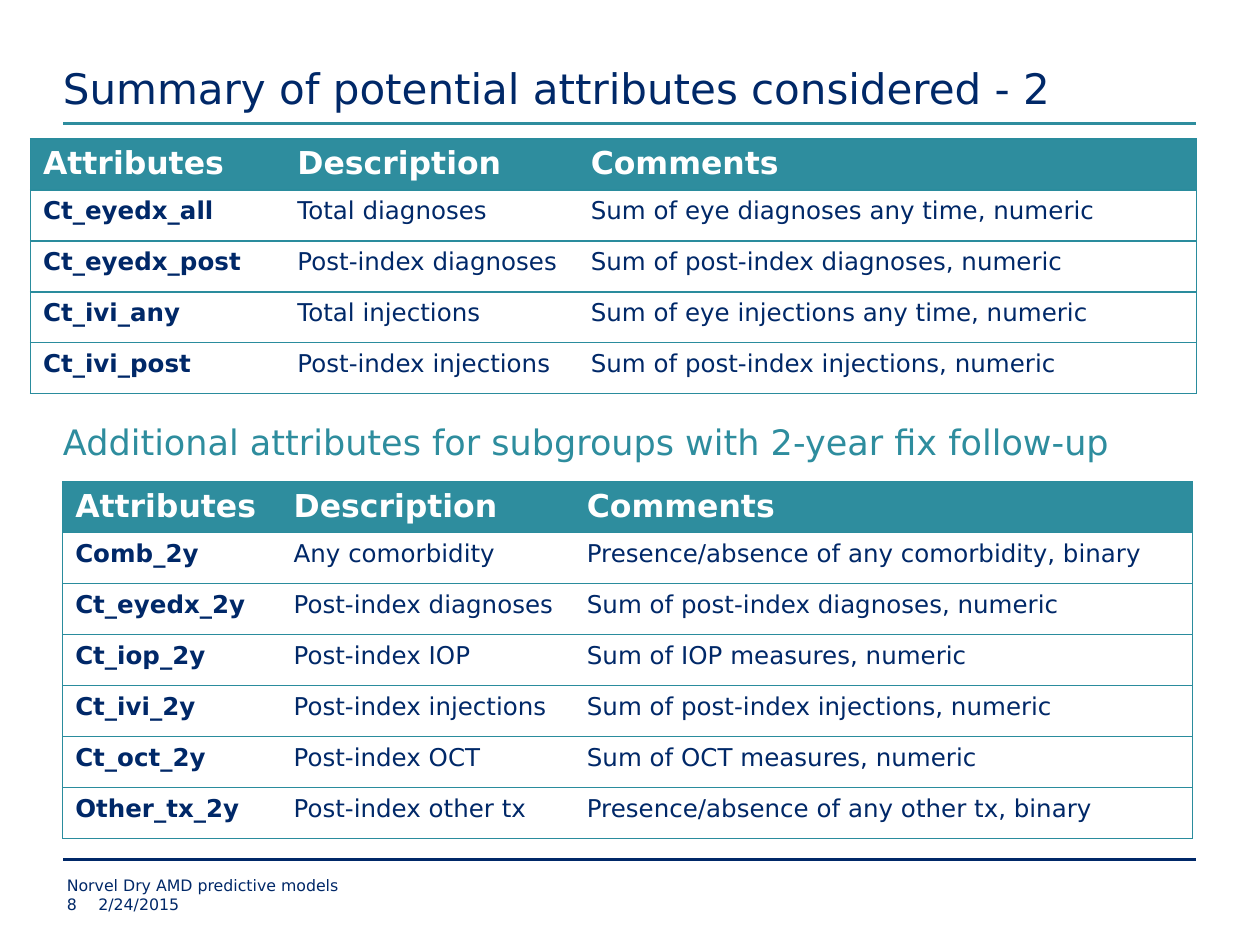
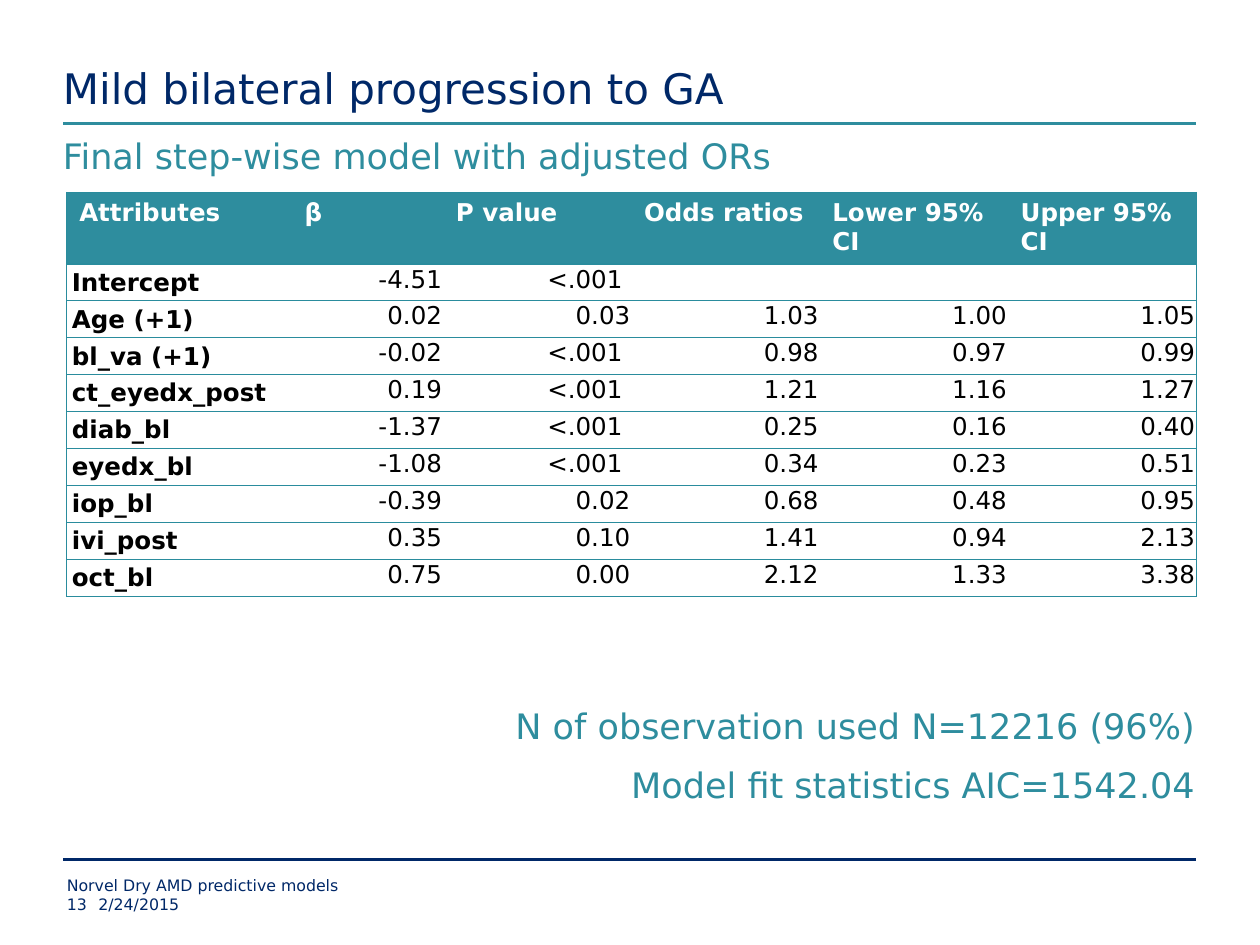
from pptx import Presentation
from pptx.dml.color import RGBColor
from pptx.enum.shapes import MSO_CONNECTOR as Connector
from pptx.enum.text import MSO_ANCHOR as Anchor, PP_ALIGN as Align
from pptx.util import Pt
from lxml.etree import SubElement
from pptx.oxml.ns import qn

FONT = "DejaVu Sans"
NAVY, TEAL, BORDER = "002868", "2E8D9E", "2A8C9D"
WHITE, BLACK = "FFFFFF", "000000"
LEFT, RIGHT, WIDTH = 36, 683.3, 648
FOOTER_LEFT, DATE_LEFT = 38.2, 56.2

HEADINGS = ["Attributes", "Description", "Comments"]
OVERALL_ROWS = [
    ["Ct_eyedx_all", "Total diagnoses", "Sum of eye diagnoses any time, numeric"],
    ["Ct_eyedx_post", "Post-index diagnoses", "Sum of post-index diagnoses, numeric"],
    ["Ct_ivi_any", "Total injections", "Sum of eye injections any time, numeric"],
    ["Ct_ivi_post", "Post-index injections", "Sum of post-index injections, numeric"],
]
TWO_YEAR_ROWS = [
    ["Comb_2y", "Any comorbidity", "Presence/absence of any comorbidity, binary"],
    ["Ct_eyedx_2y", "Post-index diagnoses", "Sum of post-index diagnoses, numeric"],
    ["Ct_iop_2y", "Post-index IOP", "Sum of IOP measures, numeric"],
    ["Ct_ivi_2y", "Post-index injections", "Sum of post-index injections, numeric"],
    ["Ct_oct_2y", "Post-index OCT", "Sum of OCT measures, numeric"],
    ["Other_tx_2y", "Post-index other tx", "Presence/absence of any other tx, binary"],
]
MODEL_HEADINGS = ["Attributes", "β", "P value", "Odds ratios", "Lower 95% CI", "Upper 95% CI"]
MODEL_ROWS = [
    ["Intercept", "-4.51", "<.001 ", "", "", ""],
    ["Age (+1)", "0.02", "0.03", "1.03", "1.00", "1.05"],
    ["bl_va (+1)", "-0.02", "<.001 ", "0.98", "0.97", "0.99"],
    ["ct_eyedx_post", "0.19", "<.001 ", "1.21", "1.16", "1.27"],
    ["diab_bl", "-1.37", "<.001 ", "0.25", "0.16", "0.40"],
    ["eyedx_bl", "-1.08", "<.001 ", "0.34", "0.23", "0.51"],
    ["iop_bl", "-0.39", "0.02", "0.68", "0.48", "0.95"],
    ["ivi_post", "0.35", "0.10", "1.41", "0.94", "2.13"],
    ["oct_bl", "0.75", "0.00", "2.12", "1.33", "3.38"],
]


def color(value):
    return RGBColor.from_string(value)


def add_run(paragraph, text, size, tone, bold=False):
    run = paragraph.add_run()
    run.text = text
    run.font.name = FONT
    run.font.size = Pt(size)
    run.font.bold = bold
    run.font.color.rgb = color(tone)


def add_text(slide, box, lines, size, tone, align=Align.LEFT, anchor=Anchor.TOP):
    frame = slide.shapes.add_textbox(*map(Pt, box)).text_frame
    frame.word_wrap = True
    frame.vertical_anchor = anchor
    frame.margin_left = frame.margin_right = frame.margin_top = frame.margin_bottom = 0
    for index, line in enumerate(lines):
        paragraph = frame.add_paragraph() if index else frame.paragraphs[0]
        paragraph.alignment = align
        if index:
            paragraph.space_before = Pt(size / 2)
        add_run(paragraph, line, size, tone)


def add_rule(slide, y, tone):
    rule = slide.shapes.add_connector(Connector.STRAIGHT, Pt(LEFT), Pt(y), Pt(RIGHT), Pt(y))
    rule.line.color.rgb = color(tone)
    rule.line.width = Pt(1.5)
    SubElement(rule._element.spPr, qn("a:effectLst"))


def add_subtitle(slide, top, text):
    add_text(slide, (LEFT, top, WIDTH, 35), [text], 20, TEAL)


def add_frame(slide, title, number):
    add_rule(slide, 70.6, TEAL)
    add_rule(slide, 491, NAVY)
    add_text(slide, (LEFT, 0, WIDTH, 64.8), [title], 24, NAVY, anchor=Anchor.BOTTOM)
    add_text(slide, (FOOTER_LEFT, 500.4, 540, 10.8), ["Norvel Dry AMD predictive models"], 9, NAVY)
    add_text(slide, (FOOTER_LEFT, 511.2, 18, 10.8), [number], 9, NAVY)
    add_text(slide, (DATE_LEFT, 511.2, 522, 10.8), ["2/24/2015"], 9, NAVY)


def set_borders(cell, is_first, is_last):
    properties = cell._tc.get_or_add_tcPr()
    for tag, visible in (("lnL", is_first), ("lnR", is_last), ("lnT", True), ("lnB", True)):
        line = SubElement(properties, qn(f"a:{tag}"), w=str(Pt(0.75)))
        if visible:
            fill = SubElement(line, qn("a:solidFill"))
            SubElement(fill, qn("a:srgbClr"), val=BORDER)
        else:
            SubElement(line, qn("a:noFill"))


def set_insets(cell, side, top):
    cell.margin_left = cell.margin_right = Pt(side)
    cell.margin_top, cell.margin_bottom = Pt(top), 0


def style_model_cell(cell, is_label):
    paragraph = cell.text_frame.paragraphs[0]
    if is_label:
        set_insets(cell, 3, 0)
        paragraph.line_spacing = 1.15
        paragraph.space_before = paragraph.space_after = Pt(3)
    else:
        set_insets(cell, 0.7, 0.7)
        paragraph.alignment = Align.RIGHT


def add_grid(slide, left, top, widths, heights, rows, header_size, body_color, style_cell=None):
    box = (left, top, sum(widths), sum(heights))
    table = slide.shapes.add_table(len(rows), len(widths), *map(Pt, box)).table
    table.horz_banding = False
    for column, width in zip(table.columns, widths):
        column.width = Pt(width)
    for row, height in zip(table.rows, heights):
        row.height = Pt(height)
    for row_index, row in enumerate(rows):
        for column_index, text in enumerate(row):
            cell = table.cell(row_index, column_index)
            is_header, is_label = row_index == 0, column_index == 0
            set_borders(cell, is_label, column_index == len(row) - 1)
            cell.fill.solid()
            cell.fill.fore_color.rgb = color(TEAL if is_header else WHITE)
            paragraph = cell.text_frame.paragraphs[0]
            if style_cell and not is_header:
                style_cell(cell, is_label)
            if text:
                size, tone = (header_size, WHITE) if is_header else (14, body_color)
                add_run(paragraph, text, size, tone, is_header or is_label)
            else:
                SubElement(paragraph._p, qn("a:endParaRPr"), sz="1400")


def add_attribute_grid(slide, left, top, label_width, rows):
    rows = [HEADINGS] + rows
    add_grid(slide, left, top, [label_width, 167.6, 353.4], [29.16] * len(rows), rows, 18, NAVY)


def build_attributes(slide):
    add_frame(slide, "Summary of potential attributes considered - 2", "8")
    add_attribute_grid(slide, 17.4, 79.4, 145.4, OVERALL_ROWS)
    add_subtitle(slide, 240.5, "Additional attributes for subgroups with 2-year fix follow-up")
    add_attribute_grid(slide, 35.8, 275.4, 124.8, TWO_YEAR_ROWS)


def build_model(slide):
    add_frame(slide, "Mild bilateral progression to GA", "13")
    add_subtitle(slide, 77, "Final step-wise model with adjusted ORs")
    add_grid(slide, 38.1, 110, [128.8, 86.4] + [107.6] * 4, [40] + [21.1] * len(MODEL_ROWS),
             [MODEL_HEADINGS] + MODEL_ROWS, 14, BLACK, style_model_cell)
    add_text(slide, (LEFT, 402.5, 647, 70.6),
             ["N of observation used N=12216 (96%)", "Model fit statistics AIC=1542.04"],
             20, TEAL, Align.RIGHT)


def main():
    presentation = Presentation()
    presentation.slide_width, presentation.slide_height = Pt(720), Pt(540)
    blank = presentation.slide_layouts[6]
    for build in (build_attributes, build_model):
        build(presentation.slides.add_slide(blank))
    presentation.save("out.pptx")


main()
